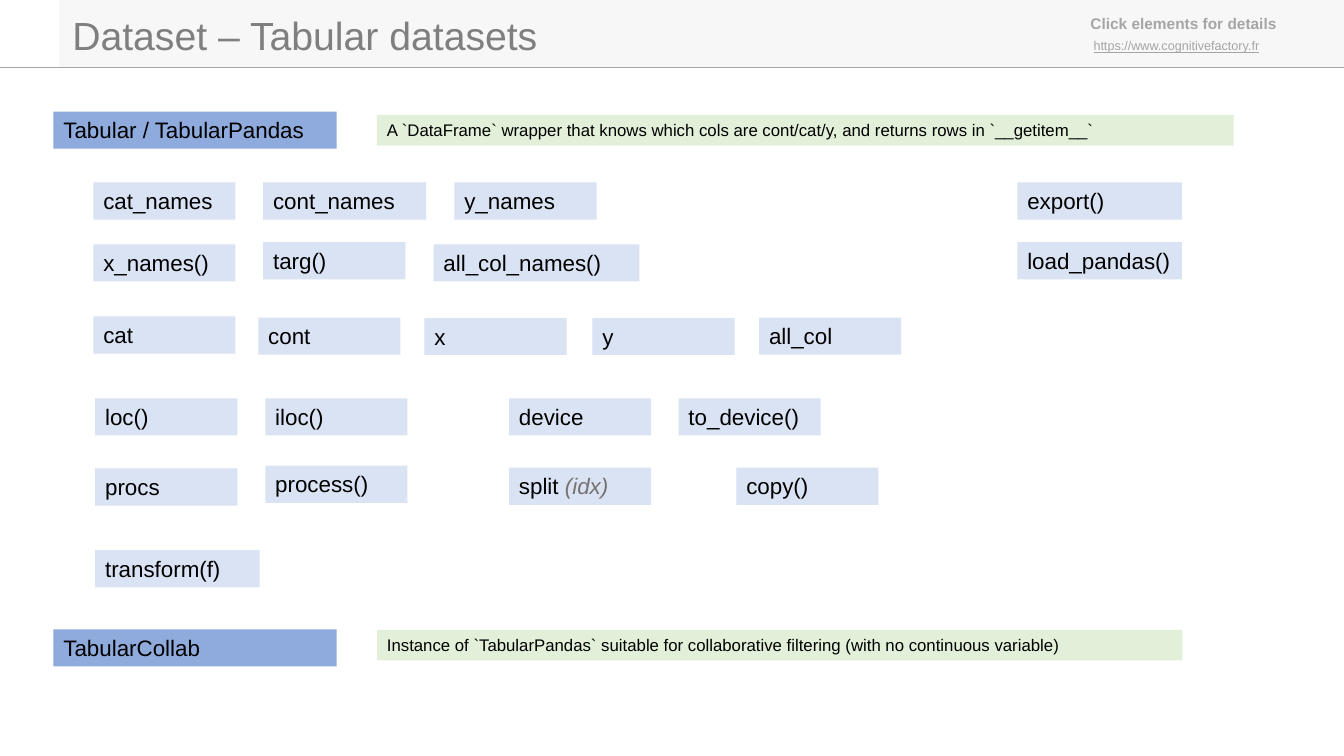
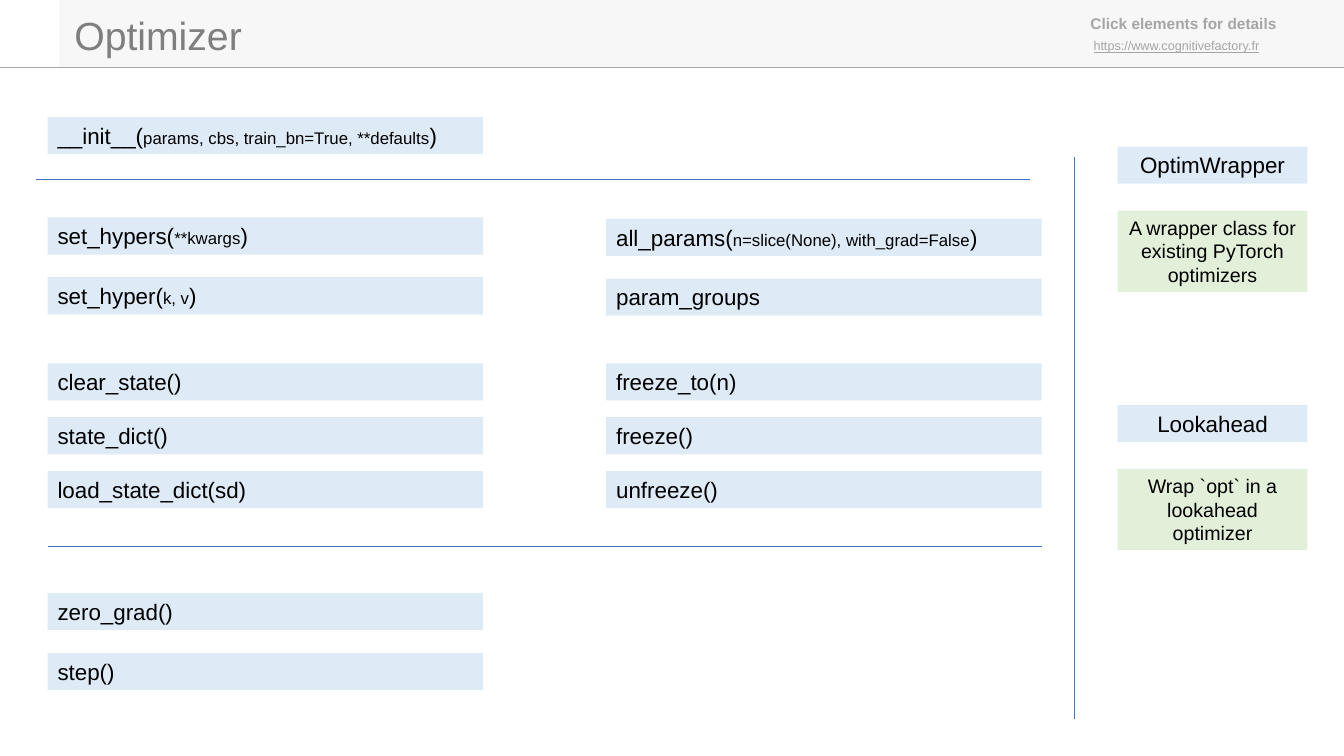
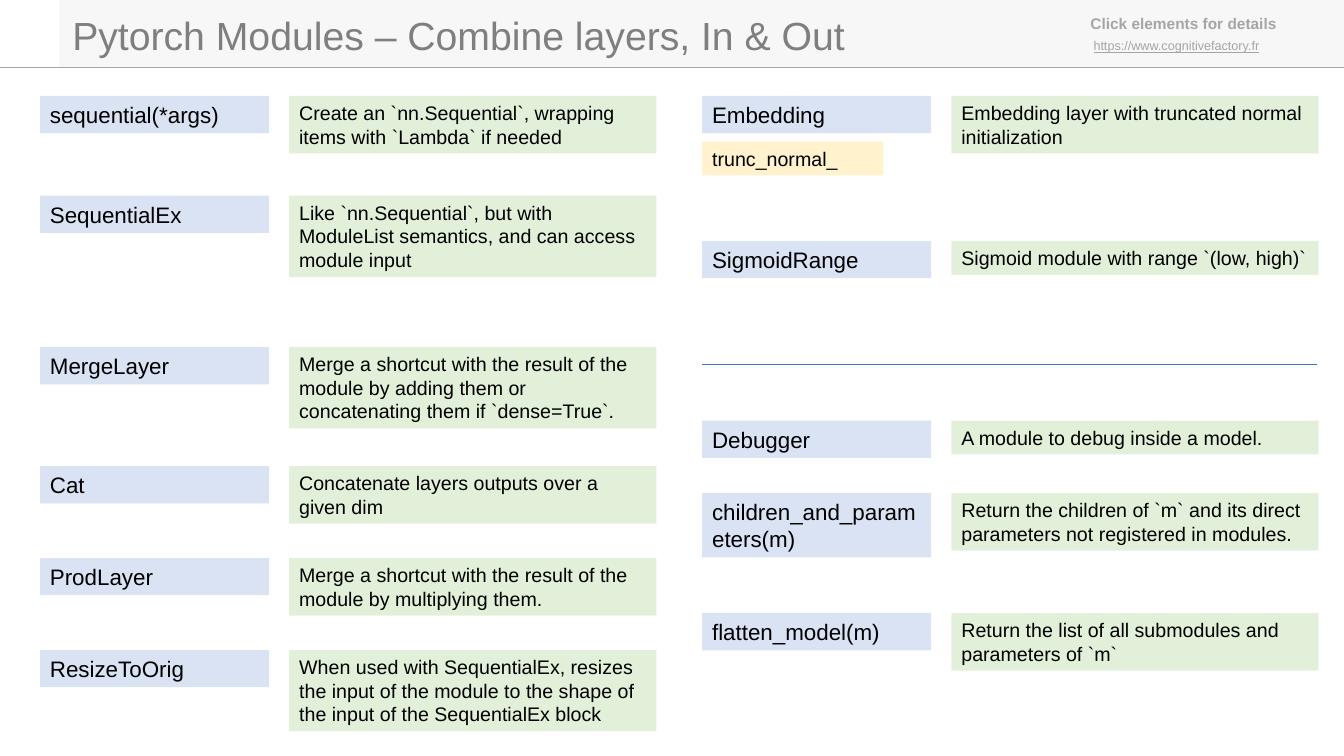
from lxml.etree import SubElement
from pptx import Presentation
from pptx.dml.color import RGBColor
from pptx.enum.shapes import MSO_CONNECTOR, MSO_SHAPE
from pptx.enum.text import MSO_ANCHOR, MSO_AUTO_SIZE, PP_ALIGN
from pptx.oxml.ns import qn
from pptx.util import Pt

hue = RGBColor.from_string
BLUE, PALE, SKY = "8FAADC", "DAE3F3", "DEEBF7"
GREEN, CREAM = "E2F0D9", "FFF2CC"
BAND, GREY, HEAD, EDGE = "F7F7F7", "A5A5A5", "7F7F7F", "4472C4"


def box(slide, text, left, top, width, fill=None, size=16, lines=1,
        align=PP_ALIGN.LEFT, wrap=True, color="000000", alt={}, **style):
    """Add a text box as tall as its lines; every second piece between bars gets alt."""
    place = [Pt(n) for n in (left, top, width, 7.2 + 1.21 * size * lines)]
    if fill:
        shape = slide.shapes.add_shape(MSO_SHAPE.RECTANGLE, *place)
        shape.shadow.inherit = False
        shape.fill.solid()
        shape.fill.fore_color.rgb = hue(fill)
        shape.line.fill.background()
    else:
        shape = slide.shapes.add_textbox(*place)
    frame = shape.text_frame
    layout = {"word_wrap": wrap, "auto_size": MSO_AUTO_SIZE.SHAPE_TO_FIT_TEXT,
              "vertical_anchor": MSO_ANCHOR.TOP}
    for key, value in layout.items():
        setattr(frame, key, value)
    para = frame.paragraphs[0]
    para.alignment = align
    for i, piece in enumerate(text.split("|")):
        run = para.add_run()
        run.text = piece
        look = {"name": "Arial", "size": size, "color": color, **style}
        if i % 2:
            look.update(alt)
        run.font.color.rgb = hue(look.pop("color"))
        look["size"] = Pt(look["size"])
        for key, value in look.items():
            setattr(run.font, key, value)


def rule(slide, x1, y1, x2, y2, color=EDGE):
    line = slide.shapes.add_connector(
        MSO_CONNECTOR.STRAIGHT, Pt(x1), Pt(y1), Pt(x2), Pt(y2))
    line.line.color.rgb = hue(color)
    line.line.width = Pt(0.5)
    SubElement(line._element.spPr, qn("a:effectLst"))


deck = Presentation()
deck.slide_width, deck.slide_height = Pt(960), Pt(540)

# Shared header
titles = [
    ("Dataset – Tabular datasets", 44.6, 350.6),
    ("Optimizer", 46, 135.4),
    ("Pytorch Modules – Combine layers, In & Out", 44.6, 573),
]
pages = []
for title, left, width in titles:
    page = deck.slides.add_slide(deck.slide_layouts[6])
    band = page.shapes.add_shape(
        MSO_SHAPE.RECTANGLE, Pt(42.5), Pt(0), Pt(917.5), Pt(48.2))
    band.shadow.inherit = False
    band.fill.solid()
    band.fill.fore_color.rgb = hue(BAND)
    band.line.fill.background()
    rule(page, 0, 48.2, 960, 48.2, GREY)
    box(page, "Click elements for details", 771.8, 6.5, 152.6,
        size=11, color=GREY, bold=True)
    box(page, "https://www.cognitivefactory.fr", 774, 23.8, 150.5,
        size=9, color=GREY, underline=True)
    box(page, title, left, 4.3, width, size=28, wrap=False, color=HEAD)
    pages.append(page)
table, optim, layers = pages

# Tabular datasets
groups = [
    ("Tabular / TabularPandas", 79.7, 82.3, 612,
     "A `DataFrame` wrapper that knows which cols are cont/cat/y, "
     "and returns rows in `__getitem__`"),
    ("TabularCollab", 449.5, 450, 575.3,
     "Instance of `TabularPandas` suitable for collaborative filtering "
     "(with no continuous variable)"),
]
for name, top, low, width, note in groups:
    box(table, name, 38.2, top, 202.3, BLUE)
    box(table, note, 269.3, low, width, GREEN, 12)

WIDTH, WIDE = 101.5, 117.5
members = [
    ("cat_names", 66.7, 130.3, WIDTH),
    ("cont_names", 188, 130.3, 116.5),
    ("y_names", 324.6, 130.3, WIDTH),
    ("export()", 726.7, 130.3, WIDE),
    ("x_names()", 66.7, 174.5, WIDTH),
    ("targ()", 188, 173, WIDTH),
    ("all_col_names()", 309.7, 174.5, 147),
    ("load_pandas()", 726.7, 173, WIDE),
    ("cat", 66.7, 226, WIDTH),
    ("cont", 184.5, 226.8, WIDTH),
    ("x", 303.2, 227, WIDTH),
    ("y", 423.2, 227, WIDTH),
    ("all_col", 542.2, 226.8, WIDTH),
    ("loc()", 68, 284.5, WIDTH),
    ("iloc()", 189.5, 284.5, WIDTH),
    ("device", 363.6, 284.5, WIDTH),
    ("to_device()", 484.7, 284.5, WIDTH),
    ("procs", 68, 334.6, WIDTH),
    ("process()", 189.5, 332.6, WIDTH),
    ("split |(idx)", 363.6, 334, WIDTH),
    ("copy()", 526, 334, WIDTH),
    ("transform(f)", 68, 393, WIDE),
]
for name, left, top, width in members:
    box(table, name, left, top, width, PALE,
        alt={"color": "767171", "italic": True})

# Optimizer
columns = [
    (34, [
        ("__init__(|params, cbs, train_bn=True, **defaults|)", 83.5),
        ("set_hypers(|**kwargs|)", 155.3),
        ("set_hyper(|k, v|)", 198),
        ("clear_state()", 259.5),
        ("state_dict()", 298),
        ("load_state_dict(sd)", 336.5),
        ("zero_grad()", 423.5),
        ("step()", 466.3),
    ]),
    (433, [
        ("all_params(|n=slice(None), with_grad=False|)", 156.3),
        ("param_groups", 199),
        ("freeze_to(n)", 259.5),
        ("freeze()", 298),
        ("unfreeze()", 336.5),
    ]),
]
for left, calls in columns:
    for name, top in calls:
        box(optim, name, left, top, 311, SKY, alt={"size": 12})

for ends in [(34, 390.2, 744.4, 390.2), (26, 128.2, 736, 128.2),
             (767.6, 112.3, 767.6, 513.4)]:
    rule(optim, *ends)

wraps = [
    ("OptimWrapper", 104.7, "A wrapper class for existing PyTorch optimizers"),
    ("Lookahead", 289.3, "Wrap `opt` in a lookahead optimizer"),
]
for name, top, note in wraps:
    box(optim, name, 798.4, top, 135.5, SKY, align=PP_ALIGN.CENTER)
    box(optim, note, 798.4, top + 45.7, 135.5, GREEN, 14, 3, PP_ALIGN.CENTER)

# Modules: name, top, lines of the name, lines of the note, note
halves = [
    (28.6, [
        ("sequential(*args)", 68.5, 1, 2,
         "Create an `nn.Sequential`, wrapping items with `Lambda` if needed"),
        ("SequentialEx", 139.8, 1, 3,
         "Like `nn.Sequential`, but with ModuleList semantics, "
         "and can access module input"),
        ("MergeLayer", 248, 1, 3,
         "Merge a shortcut with the result of the module by adding them "
         "or concatenating them if `dense=True`."),
        ("Cat", 333, 1, 2, "Concatenate layers outputs over a given dim"),
        ("ProdLayer", 398.6, 1, 2,
         "Merge a shortcut with the result of the module by multiplying them."),
        ("ResizeToOrig", 464.3, 1, 3,
         "When used with SequentialEx, resizes the input of the module "
         "to the shape of the input of the SequentialEx block"),
    ]),
    (501.6, [
        ("Embedding", 68.5, 1, 2,
         "Embedding layer with truncated normal initialization"),
        ("SigmoidRange", 172.2, 1, 1, "Sigmoid module with range `(low, high)`"),
        ("Debugger", 300.5, 1, 1, "A module to debug inside a model."),
        ("children_and_parameters(m)", 352.2, 2, 2,
         "Return the children of `m` and its direct parameters "
         "not registered in modules."),
        ("flatten_model(m)", 438, 1, 2,
         "Return the list of all submodules and parameters of `m`"),
    ]),
]
for left, rows in halves:
    for name, top, tall, deep, note in rows:
        box(layers, name, left, top, 163.5, PALE, lines=tall)
        box(layers, note, left + 178, top, 262.3, GREEN, 14, deep)
box(layers, "trunc_normal_", 501.6, 101.2, 129.4, CREAM, 14)
rule(layers, 501.6, 260.4, 941, 260.4)

deck.save("out.pptx")
